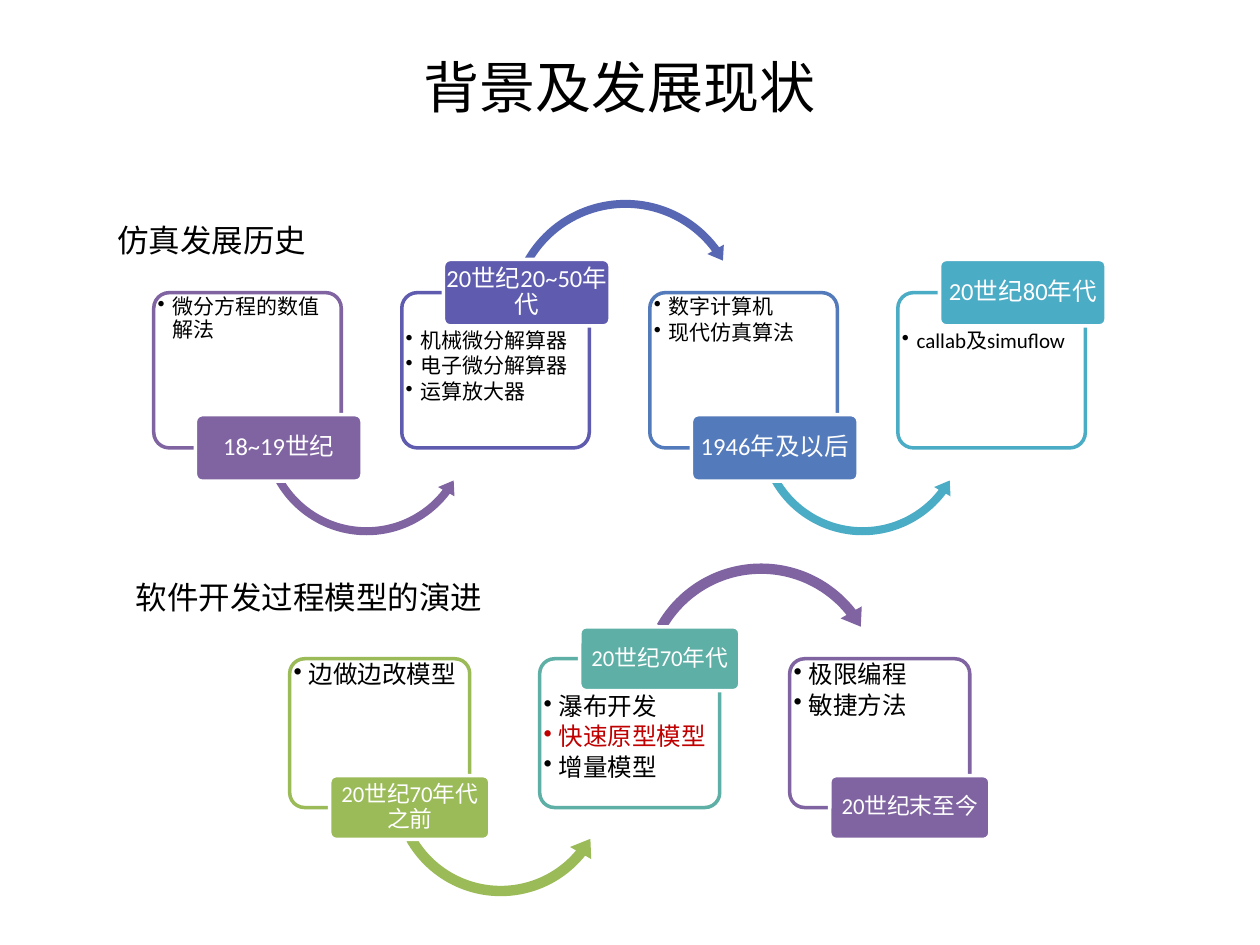
from dataclasses import dataclass

from lxml import etree
from pptx import Presentation
from pptx.dml.color import RGBColor
from pptx.enum.shapes import MSO_SHAPE
from pptx.enum.text import MSO_ANCHOR, PP_ALIGN
from pptx.oxml.ns import qn
from pptx.util import Cm, Pt

ROUNDED = MSO_SHAPE.ROUNDED_RECTANGLE
ARROW_UP = MSO_SHAPE.CIRCULAR_ARROW
ARROW_DOWN = MSO_SHAPE.LEFT_CIRCULAR_ARROW
LEFT, CENTER = PP_ALIGN.LEFT, PP_ALIGN.CENTER
TOP, MIDDLE = MSO_ANCHOR.TOP, MSO_ANCHOR.MIDDLE

COLORS = {
    "black": "000000", "white": "FFFFFF", "red": "C00000",
    "purple": "8064A2", "violet": "5F5BAE", "indigo": "5767B4", "blue": "537ABA",
    "cyan": "4BACC6", "green": "9BBB59", "teal": "5EAFA6",
}
LATIN, CHINESE = "Calibri", "Noto Sans CJK SC"


@dataclass
class Stage:
    label: str
    notes: list
    color: str
    arrow_color: str = ""
    highlight: str = ""


@dataclass
class Arrow:
    """Offset from the panel's corner and size in cm; thickness and head width
    in percent; angles of the head, the end and the start in degrees."""
    left: float
    top: float
    size: float
    thickness: float
    head_width: float
    angles: tuple


@dataclass
class Timeline:
    left: float
    top: float
    pitch: float
    width: float
    height: float
    note_size: int
    label_size: int
    down: Arrow
    up: Arrow
    stages: list


def color_of(name):
    return RGBColor.from_string(COLORS[name])


def write(paragraph, text, size, color="black", font=LATIN, align=LEFT, spacing=None):
    paragraph.alignment = align
    paragraph.line_spacing = spacing
    run = paragraph.add_run()
    run.text = text
    run.font.name = font
    run.font.size = Pt(size)
    run.font.color.rgb = color_of(color)


def set_bullet(paragraph, indent):
    properties = paragraph._p.get_or_add_pPr()
    properties.set("marL", str(indent))
    properties.set("indent", str(-indent))
    etree.SubElement(properties, qn("a:buChar")).set("char", "•")


def set_frame(frame, inset, anchor=TOP, wrap=True):
    frame.margin_left = frame.margin_right = Cm(inset)
    frame.margin_top = frame.margin_bottom = Cm(inset)
    frame.vertical_anchor = anchor
    frame.word_wrap = wrap


class SlideBuilder:
    def __init__(self, slide):
        self.slide = slide
        self.shapes = slide.shapes

    def title(self, text, *box):
        title = self.slide.shapes.title
        title.left, title.top, title.width, title.height = map(Cm, box)
        set_frame(title.text_frame, 0.13, MIDDLE)
        write(title.text_frame.paragraphs[0], text, 32, font=CHINESE, align=CENTER)

    def caption(self, text, *box):
        frame = self.slide.shapes.add_textbox(*map(Cm, box)).text_frame
        set_frame(frame, 0.13, wrap=False)
        frame.margin_left = frame.margin_right = Cm(0.25)
        write(frame.paragraphs[0], text, 18, font=CHINESE)

    def shape(self, kind, *box, fill, line=None):
        shape = self.shapes.add_shape(kind, *map(Cm, box))
        shape.shadow.inherit = False
        shape.fill.solid()
        shape.fill.fore_color.rgb = color_of(fill)
        if line:
            shape.line.color.rgb = color_of(line)
            shape.line.width = Pt(2)
        else:
            shape.line.fill.background()
        return shape

    def rounded_box(self, *box, fill, line):
        shape = self.shape(ROUNDED, *box, fill=fill, line=line)
        shape.adjustments[0] = 0.1
        return shape

    def notes(self, stage, *box, size):
        frame = self.shapes.add_textbox(*map(Cm, box)).text_frame
        set_frame(frame, 0.08)
        for index, note in enumerate(stage.notes):
            paragraph = frame.add_paragraph() if index else frame.paragraphs[0]
            paragraph.level = 1
            paragraph.space_after = Pt(size * 0.15)
            color = "red" if note == stage.highlight else "black"
            write(paragraph, note, size, color, spacing=0.9)
            set_bullet(paragraph, Cm(0.3))

    def arrow(self, kind, arrow, left, top, color):
        shape = self.shape(kind, left + arrow.left, top + arrow.top,
                           arrow.size, arrow.size, fill=color)
        # An angle is stored in 1/60000 degree, an adjustment in 1/100000.
        angles = [angle * 0.6 for angle in arrow.angles]
        values = [arrow.thickness / 100, *angles, arrow.head_width / 100]
        for index, value in enumerate(values):
            shape.adjustments[index] = value

    def label(self, text, *box, color, size):
        shape = self.rounded_box(*box, fill=color, line="white")
        set_frame(shape.text_frame, 0, MIDDLE)
        write(shape.text_frame.paragraphs[0], text, size, "white",
              align=CENTER, spacing=0.9)

    def timeline(self, row):
        """Draw the stages in one group, with labels alternately below and above."""
        self.shapes = self.slide.shapes.add_group_shape().shapes
        label_width, label_height = row.width * 8 / 9, row.height * 3 / 7
        overlap = label_height / 2
        for index, stage in enumerate(row.stages):
            above = index % 2 == 1
            left = row.left + index * row.pitch
            self.rounded_box(left, row.top, row.width, row.height,
                             fill="white", line=stage.color)
            self.notes(stage, left, row.top + (overlap if above else 0),
                       row.width, row.height - overlap, size=row.note_size)
            if stage.arrow_color:
                kind, arrow = (ARROW_UP, row.up) if above else (ARROW_DOWN, row.down)
                self.arrow(kind, arrow, left, row.top, stage.arrow_color)
            edge = row.top if above else row.top + row.height
            self.label(stage.label, left + row.width * 2 / 9, edge - overlap,
                       label_width, label_height, color=stage.color, size=row.label_size)


SIMULATION = Timeline(
    3.1, 5.9, 5, 3.78, 3.13, 12, 14,
    down=Arrow(2.08, 0.58, 4.42, 3.7, 4.3, (7.67, 37.26, 150.41)),
    up=Arrow(2.06, -1.98, 4.9, 3.3, 3.9, (6.85, 323.56, 209.59)),
    stages=[
        Stage("18~19世纪", ["微分方程的数值解法"], "purple", "purple"),
        Stage("20世纪20~50年代", ["机械微分解算器", "电子微分解算器", "运算放大器"],
              "violet", "indigo"),
        Stage("1946年及以后", ["数字计算机", "现代仿真算法"], "blue", "cyan"),
        Stage("20世纪80年代", ["callab及simuflow"], "cyan"),
    ])
SOFTWARE = Timeline(
    5.84, 13.28, 5.04, 3.63, 3.0, 14, 13,
    down=Arrow(1.93, 0.28, 4.65, 4.5, 5.3, (9.57, 39.16, 150.41)),
    up=Arrow(1.91, -2.06, 5.11, 4.1, 4.8, (8.62, 321.79, 209.59)),
    stages=[
        Stage("20世纪70年代之前", ["边做边改模型"], "green", "green"),
        Stage("20世纪70年代", ["瀑布开发", "快速原型模型", "增量模型"],
              "teal", "purple", highlight="快速原型模型"),
        Stage("20世纪末至今", ["极限编程", "敏捷方法"], "purple"),
    ])


def main():
    presentation = Presentation()
    presentation.slide_width, presentation.slide_height = Cm(25.4), Cm(19.05)
    builder = SlideBuilder(presentation.slides.add_slide(presentation.slide_layouts[5]))
    builder.title("背景及发展现状", 6.5, 0.87, 11.99, 1.75)
    builder.timeline(SIMULATION)
    builder.timeline(SOFTWARE)
    builder.caption("仿真发展历史", 2.11, 4.32, 4.37, 1.02)
    builder.caption("软件开发过程模型的演进", 2.49, 11.53, 7.57, 1.02)
    presentation.save("out.pptx")


if __name__ == "__main__":
    main()
